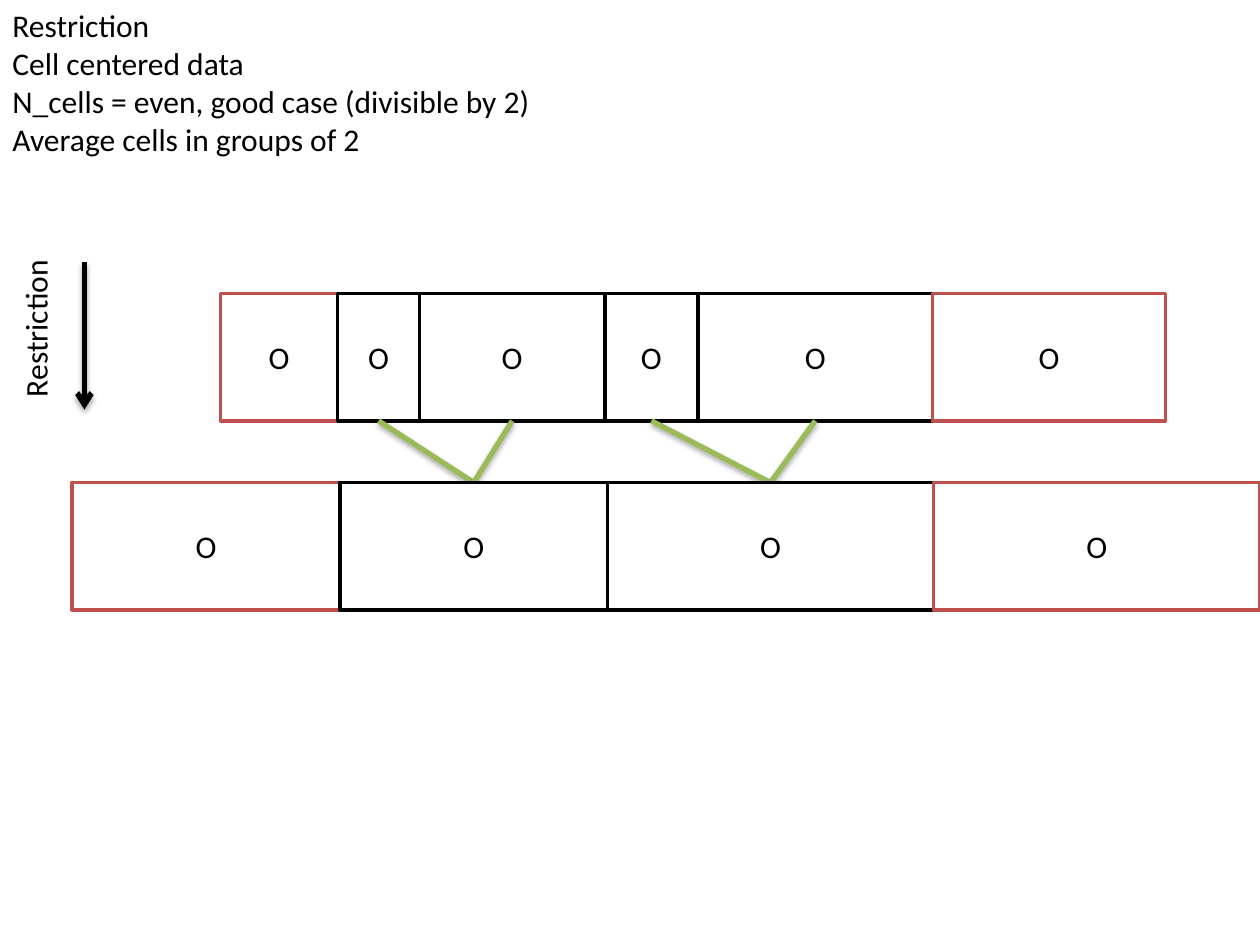
from dataclasses import dataclass
from itertools import pairwise

from lxml import etree
from pptx import Presentation
from pptx.dml.color import RGBColor
from pptx.enum.shapes import MSO_CONNECTOR, MSO_SHAPE
from pptx.enum.text import MSO_ANCHOR, MSO_AUTO_SIZE, PP_ALIGN
from pptx.oxml.ns import qn
from pptx.util import Inches, Pt

RECT, STRAIGHT = MSO_SHAPE.RECTANGLE, MSO_CONNECTOR.STRAIGHT
MIDDLE, CENTER = MSO_ANCHOR.MIDDLE, PP_ALIGN.CENTER
GROW = MSO_AUTO_SIZE.SHAPE_TO_FIT_TEXT


@dataclass(frozen=True)
class Theme:
    """Colours, type and line weights of the slide."""
    ink: RGBColor = RGBColor(0, 0, 0)
    paper: RGBColor = RGBColor(255, 255, 255)
    ghost: RGBColor = RGBColor(0xC0, 0x50, 0x4D)
    link: RGBColor = RGBColor(0x9B, 0xBB, 0x59)
    font: str = "Calibri"
    size: Pt = Pt(18)
    cell_line: Pt = Pt(2)
    link_line: Pt = Pt(3)


THEME = Theme()
HEADING = ["Restriction", "Cell centered data",
           "N_cells = even, good case (divisible by 2)",
           "Average cells in groups of 2"]
FINE_EDGES = [1.75, 2.68, 3.33, 4.8, 5.54, 7.4, 9.25]
COARSE_EDGES = [0.57, 2.7, 4.82, 7.41, 10]
FINE_TOP, COARSE_TOP, CELL_HEIGHT = 2.33, 3.83, 1.01


def write(tf, lines, **paragraph_format):
    """Fill a text frame with one paragraph per line."""
    for i, line in enumerate(lines):
        p = tf.paragraphs[0] if i == 0 else tf.add_paragraph()
        for name, value in paragraph_format.items():
            setattr(p, name, value)
        r = p.add_run()
        r.text = line
        for name, value in {"name": THEME.font, "size": THEME.size}.items():
            setattr(r.font, name, value)
        r.font.color.rgb = THEME.ink


def add_text(shapes, lines, left, top, width, height, rotation=0):
    """Add an unwrapped text box that grows with its text."""
    sp = shapes.add_textbox(*map(Inches, (left, top, width, height)))
    sp.rotation = rotation
    for name, value in {"word_wrap": False, "auto_size": GROW}.items():
        setattr(sp.text_frame, name, value)
    write(sp.text_frame, lines)


def add_line(shapes, start, end, color, arrow=False):
    """Add a shadowed line, with an optional arrowhead at its start."""
    sp = shapes.add_connector(STRAIGHT, *map(Inches, (*start, *end)))
    sp.line.color.rgb = color
    sp.line.width = THEME.link_line
    if arrow:
        etree.SubElement(sp.line._get_or_add_ln(), qn("a:headEnd"), type="arrow")
    effects = etree.SubElement(sp._element.spPr, qn("a:effectLst"))
    shadow = etree.SubElement(effects, qn("a:outerShdw"), blurRad="40000",
                              dist="23000", dir="5400000", rotWithShape="0")
    black = etree.SubElement(shadow, qn("a:srgbClr"), val="000000")
    etree.SubElement(black, qn("a:alpha"), val="35000")


def add_cell_row(slide, edges, top, height):
    """Add a grouped row of cells between edges; the two end cells are ghosts."""
    shapes = slide.shapes.add_group_shape().shapes
    for left, right in pairwise(edges):
        sp = shapes.add_shape(RECT, *map(Inches, (left, top, right - left, height)))
        sp.shadow.inherit = False
        sp.fill.solid()
        sp.fill.fore_color.rgb = THEME.paper
        is_ghost = left == edges[0] or right == edges[-1]
        sp.line.color.rgb = THEME.ghost if is_ghost else THEME.ink
        sp.line.width = THEME.cell_line
        sp.text_frame.vertical_anchor = MIDDLE
        write(sp.text_frame, ["O"], alignment=CENTER)


def add_direction(slide, left, top, height):
    """Add the sideways label and the arrow pointing down beside it."""
    shapes = slide.shapes.add_group_shape().shapes
    width, thickness = 1.3, 0.4
    add_text(shapes, ["Restriction"], left + (thickness - width) / 2,
             top + 0.32, width, thickness, rotation=270)
    arrow_x = left + 0.59
    add_line(shapes, (arrow_x, top + height), (arrow_x, top), THEME.ink, arrow=True)


def add_links(slide, top, bottom):
    """Join each pair of inner fine cells to the coarse cell they average to."""
    fine, coarse = ([(a + b) / 2 for a, b in pairwise(edges)][1:-1]
                    for edges in (FINE_EDGES, COARSE_EDGES))
    for i, x in enumerate(fine):
        add_line(slide.shapes, (x, top), (coarse[i // 2], bottom), THEME.link)


def build_restriction_slide(prs):
    """Build the slide on restriction of cell centered data."""
    slide = prs.slides.add_slide(prs.slide_layouts[6])
    add_text(slide.shapes, HEADING, 0, 0, 4.42, 1.31)
    add_cell_row(slide, FINE_EDGES, FINE_TOP, CELL_HEIGHT)
    add_direction(slide, 0.08, 2.08, 1.17)
    add_links(slide, FINE_TOP + CELL_HEIGHT, COARSE_TOP)
    add_cell_row(slide, COARSE_EDGES, COARSE_TOP, CELL_HEIGHT)


prs = Presentation()
prs.slide_width, prs.slide_height = Inches(10), Inches(7.5)
build_restriction_slide(prs)
prs.save("out.pptx")
